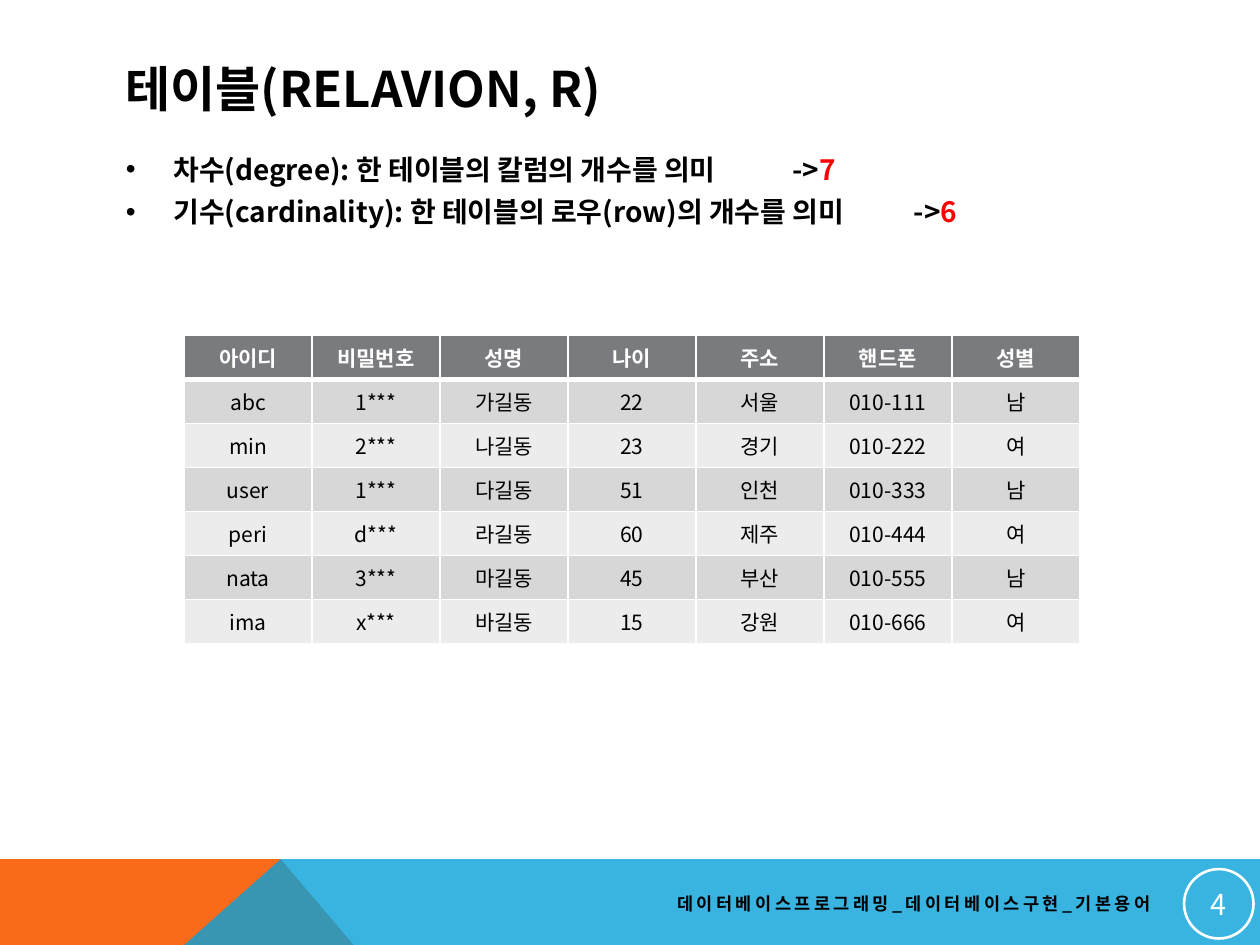
from dataclasses import dataclass

from lxml import etree
from pptx import Presentation
from pptx import util as u
from pptx.dml.color import RGBColor
from pptx.enum import shapes, text
from pptx.oxml import ns


@dataclass(frozen=True)
class Theme:
    """Colours, font and type sizes of the slide."""
    font: str = "Noto Sans CJK KR"
    ink: str = "000000"
    paper: str = "FFFFFF"
    answer: str = "FF0000"
    orange: str = "F96A1B"
    blue: str = "08A1D9"
    header: str = "797B7E"
    bands: tuple = ("D7D7D8", "ECECEC")
    title_size: float = 28
    body_size: float = 16
    table_size: float = 12
    footer_size: float = 10
    number_size: float = 16.5


THEME = Theme()
MIDDLE = text.MSO_ANCHOR.MIDDLE
CENTER = text.PP_ALIGN.CENTER

TERMS = [  # definition, arrow, answer, tab stop in cm
    ("차수(degree): 한 테이블의 칼럼의 개수를 의미", "->", "7", 13.44),
    ("기수(cardinality): 한 테이블의 로우(row)의 개수를 의미", "->", "6", 15.88),
]
MEMBERS = [
    ("아이디", "비밀번호", "성명", "나이", "주소", "핸드폰", "성별"),
    ("abc", "1***", "가길동", "22", "서울", "010-111", "남"),
    ("min", "2***", "나길동", "23", "경기", "010-222", "여"),
    ("user", "1***", "다길동", "51", "인천", "010-333", "남"),
    ("peri", "d***", "라길동", "60", "제주", "010-444", "여"),
    ("nata", "3***", "마길동", "45", "부산", "010-555", "남"),
    ("ima", "x***", "바길동", "15", "강원", "010-666", "여"),
]


def add_xml(parent, tag, **attributes):
    """Append a drawing element to parent and return it."""
    return etree.SubElement(parent, ns.qn(tag), attributes)


def style_run(run, size, color=THEME.ink, bold=False):
    """Give a run its font, size and colour."""
    run.font.size, run.font.bold = u.Pt(size), bold
    run.font.name = THEME.font
    run.font.color.rgb = RGBColor.from_string(color)
    add_xml(run.font._element, "a:ea", typeface=THEME.font)


def paint(fill, color):
    """Make a fill solid in the given colour."""
    fill.solid()
    fill.fore_color.rgb = RGBColor.from_string(color)


def add_text_frame(slide, box):
    """Add a wrapping text box and return its frame."""
    frame = slide.shapes.add_textbox(*map(u.Cm, box)).text_frame
    frame.word_wrap = True
    return frame


def add_title(slide, box, wording):
    """Place the slide title in its box."""
    frame = add_text_frame(slide, box)
    frame.vertical_anchor = MIDDLE
    frame.text = wording
    style_run(frame.paragraphs[0].runs[0], THEME.title_size, bold=True)


def add_terms(slide, box, terms):
    """List the terms as bullets, each with its answer after a tab stop."""
    frame = add_text_frame(slide, box)
    for index, (definition, arrow, answer, stop) in enumerate(terms):
        term = frame.add_paragraph() if index else frame.paragraphs[0]
        term.space_before, term.line_spacing = u.Pt(8), 0.85
        for wording, color in ((f"{definition}\t{arrow}", THEME.ink),
                               (answer, THEME.answer)):
            run = term.add_run()
            run.text = wording
            style_run(run, THEME.body_size, color, bold=True)
        layout = term._p.get_or_add_pPr()
        indent = u.Cm(0.96)
        layout.set("marL", str(indent))
        layout.set("indent", str(-indent))
        add_xml(layout, "a:buFont", typeface="Arial")
        add_xml(layout, "a:buChar", char="•")
        stops = add_xml(layout, "a:tabLst")
        add_xml(stops, "a:tab", pos=str(u.Cm(stop)), algn="l")


def add_borders(cell, bottom):
    """Draw white cell edges, with the bottom one of the given width."""
    edges = cell._tc.get_or_add_tcPr()
    for tag, width in (("a:lnL", 1), ("a:lnR", 1), ("a:lnT", 1), ("a:lnB", bottom)):
        edge = add_xml(edges, tag, w=str(u.Pt(width)))
        add_xml(add_xml(edge, "a:solidFill"), "a:srgbClr", val=THEME.paper)


def add_members(slide, box, rows):
    """Draw the member table on an even grid inside its box."""
    left, top, width, height = map(u.Cm, box)
    table = slide.shapes.add_table(len(rows), len(rows[0]),
                                   left, top, width, height).table
    for column in table.columns:
        column.width = width // len(rows[0])
    for index, values in enumerate(rows):
        table.rows[index].height = height // len(rows)
        is_header = index == 0
        color = THEME.header if is_header else THEME.bands[(index - 1) % 2]
        for cell, value in zip(table.rows[index].cells, values):
            cell.text = value
            cell.vertical_anchor = MIDDLE
            cell.margin_left = cell.margin_right = u.Cm(0.23)
            cell.margin_top = cell.margin_bottom = u.Cm(0.11)
            entry = cell.text_frame.paragraphs[0]
            entry.alignment = CENTER
            style_run(entry.runs[0], THEME.table_size,
                      THEME.paper if is_header else THEME.ink, is_header)
            add_borders(cell, 3 if is_header else 1)
            paint(cell.fill, color)


def add_polygon(slide, points, color):
    """Draw a closed, unlined polygon through points in cm."""
    corners = [(u.Cm(x), u.Cm(y)) for x, y in points]
    builder = slide.shapes.build_freeform(*corners[0])
    builder.add_line_segments(corners[1:])
    polygon = builder.convert_to_shape()
    polygon.shadow.inherit = False
    polygon.line.fill.background()
    paint(polygon.fill, color)
    return polygon


def add_band(slide, box):
    """Draw the orange wedge and the translucent blue band over it."""
    left, top, width, height = box
    right, bottom = left + width, top + height
    peak = (left + 5.66, top)
    add_polygon(slide, [(left, bottom), (left, top), peak,
                        (left + 9.93, bottom)], THEME.orange)
    blue = add_polygon(slide, [(left, bottom), peak, (right, top),
                               (right, bottom)], THEME.blue)
    tint = blue._element.spPr.find(".//" + ns.qn("a:srgbClr"))
    add_xml(tint, "a:alpha", val="80000")


def add_footer(slide, box, wording, number):
    """Place the course name and the page number circle on the band."""
    left, top, width, height = box
    frame = add_text_frame(slide, (left + 10.31, top + 0.51, 13.13, 0.76))
    frame.vertical_anchor = MIDDLE
    frame.text = wording
    course = frame.paragraphs[0]
    course.alignment = text.PP_ALIGN.RIGHT
    style_run(course.runs[0], THEME.footer_size, bold=True)
    course.runs[0].font._element.set("spc", "200")

    size = 1.4
    circle = slide.shapes.add_shape(
        shapes.MSO_SHAPE.OVAL,
        *map(u.Cm, (left + width - size - 0.13, top + 0.2, size, size)))
    circle.shadow.inherit = False
    circle.fill.background()
    circle.line.color.rgb = RGBColor.from_string(THEME.paper)
    circle.line.width = u.Pt(1.5)
    frame = circle.text_frame
    frame.margin_left = frame.margin_right = u.Cm(0.03)
    frame.margin_top = frame.margin_bottom = u.Cm(0.03)
    frame.vertical_anchor = MIDDLE
    frame.text = number
    frame.paragraphs[0].alignment = CENTER
    style_run(frame.paragraphs[0].runs[0], THEME.number_size, THEME.paper)


def build():
    """Build the slide and save it."""
    deck = Presentation()
    deck.slide_width, deck.slide_height = u.Cm(25.4), u.Cm(19.05)
    slide = deck.slides.add_slide(deck.slide_layouts[6])
    band = (0, 17.32, 25.4, 5.03)
    add_band(slide, band)
    add_title(slide, (2.29, 1.02, 20.88, 1.52), "테이블(RELAVION, R)")
    add_terms(slide, (2.29, 3.05, 20.88, 9.93), TERMS)
    add_footer(slide, band, "데이터베이스프로그래밍_데이터베이스구현_기본용어", "4")
    add_members(slide, (3.71, 6.76, 18.06, 6.22), MEMBERS)
    deck.save("out.pptx")


build()
